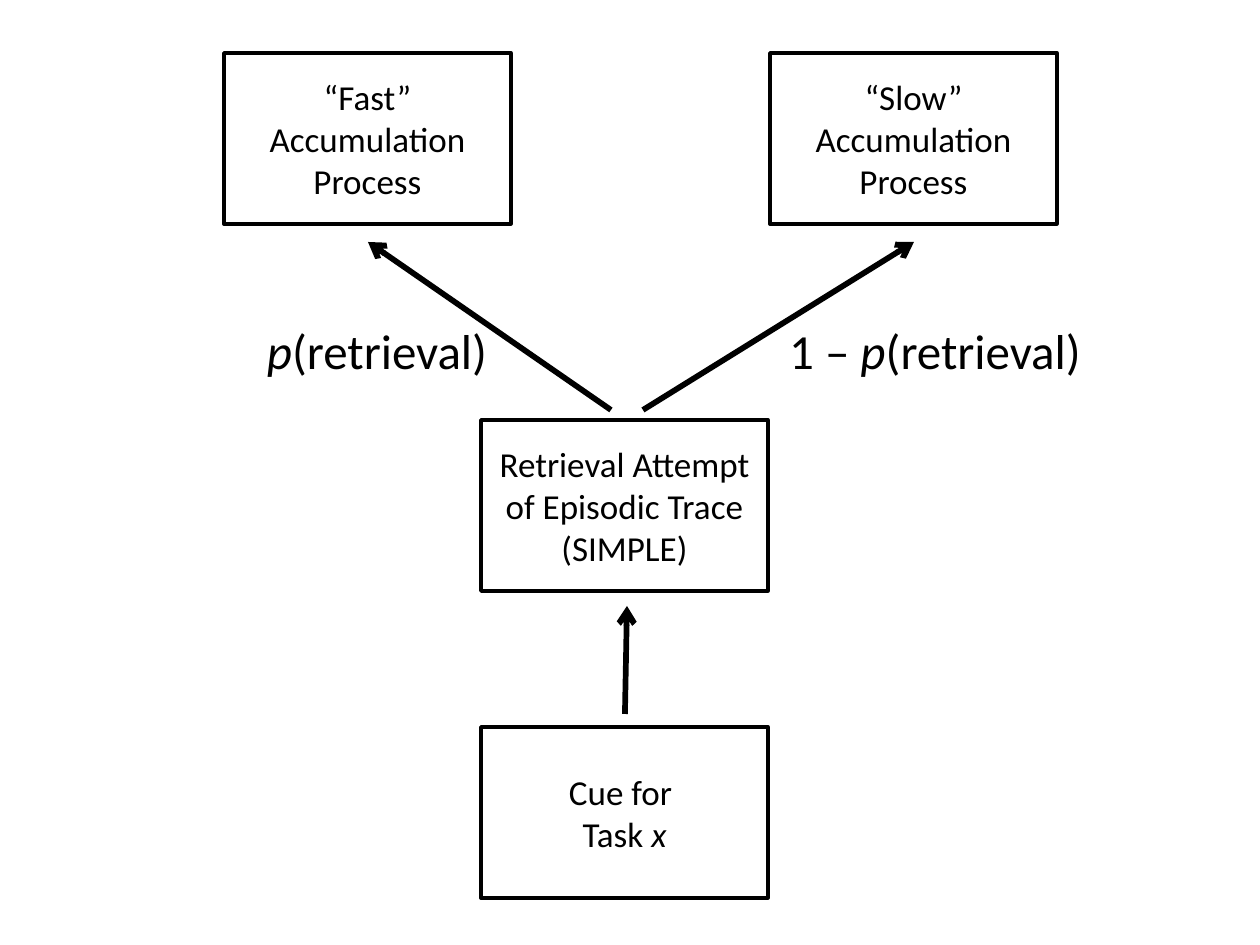
from dataclasses import dataclass

from lxml.etree import SubElement
from pptx import Presentation
from pptx.dml.color import RGBColor
from pptx.enum.shapes import MSO_CONNECTOR, MSO_SHAPE
from pptx.enum.text import MSO_ANCHOR, PP_ALIGN
from pptx.oxml.ns import qn
from pptx.util import Emu, Inches, Pt

PX = 914400 // 126
BOX_W, BOX_H = 287, 171
LABEL_Y, LABEL_H = 314, 72
INK, PAPER = "000000", "FFFFFF"
FONT = "Calibri"

Run = tuple[str, bool]


@dataclass(frozen=True)
class Box:
    """A process box; each paragraph is a list of (text, italic) runs."""
    x: int
    y: int
    paragraphs: list[list[Run]]


@dataclass(frozen=True)
class Label:
    """A probability written beside an arrow."""
    x: int
    w: int
    runs: list[Run]


@dataclass(frozen=True)
class Arrow:
    """An arrow from (x1, y1) to its head at (x2, y2)."""
    x1: int
    y1: int
    x2: int
    y2: int


BOXES = [
    Box(224, 53, [[("“Fast” Accumulation Process", False)]]),
    Box(770, 53, [[("“Slow” Accumulation Process", False)]]),
    Box(481, 420, [[("Retrieval Attempt of Episodic Trace (SIMPLE)", False)]]),
    Box(481, 727, [[("Cue for ", False)], [("Task ", False), ("x", True)]]),
]
ARROWS = [
    Arrow(625, 714, 627, 606),
    Arrow(611, 410, 368, 242),
    Arrow(643, 410, 914, 242),
]
LABELS = [
    Label(253, 248, [("p", True), ("(retrieval)", False)]),
    Label(771, 328, [("1 –", False), (" p", True), ("(retrieval)", False)]),
]


def px(*values: int) -> list[Emu]:
    """Turn pixels into EMU."""
    return [Emu(v * PX) for v in values]


def color(value: str) -> RGBColor:
    """Turn a hex string into a colour."""
    return RGBColor.from_string(value)


def write(tf, paragraphs: list[list[Run]], size: int) -> None:
    """Fill a text frame with centred paragraphs, run by run."""
    tf.word_wrap = True
    for i, runs in enumerate(paragraphs):
        p = tf.add_paragraph() if i else tf.paragraphs[0]
        p.alignment = PP_ALIGN.CENTER
        for text, italic in runs:
            r = p.add_run()
            r.text = text
            r.font.name, r.font.size, r.font.italic = FONT, Pt(size), italic
            r.font.color.rgb = color(INK)


def add_box(s, box: Box) -> None:
    """Draw an outlined box with its text in the middle."""
    sp = s.shapes.add_shape(MSO_SHAPE.RECTANGLE, *px(box.x, box.y, BOX_W, BOX_H))
    sp.shadow.inherit = False
    sp.fill.background()
    sp.line.color.rgb = color(INK)
    sp.line.width = Pt(2)
    sp.text_frame.vertical_anchor = MSO_ANCHOR.MIDDLE
    write(sp.text_frame, box.paragraphs, 20)


def add_arrow(s, arrow: Arrow) -> None:
    """Draw a straight line with an open arrowhead at its end."""
    line = s.shapes.add_connector(
        MSO_CONNECTOR.STRAIGHT, *px(arrow.x1, arrow.y1, arrow.x2, arrow.y2))
    line.line.color.rgb = color(INK)
    line.line.width = Pt(3.25)
    SubElement(line.line._get_or_add_ln(), qn("a:tailEnd"), type="arrow")
    SubElement(line._element.spPr, qn("a:effectLst"))


def add_label(s, label: Label) -> None:
    """Write a probability label."""
    sp = s.shapes.add_textbox(*px(label.x, LABEL_Y, label.w, LABEL_H))
    write(sp.text_frame, [label.runs], 28)


def main() -> None:
    """Build the slide and save it."""
    prs = Presentation()
    prs.slide_width, prs.slide_height = Inches(10), Inches(7.5)
    s = prs.slides.add_slide(prs.slide_layouts[6])
    s.background.fill.solid()
    s.background.fill.fore_color.rgb = color(PAPER)
    for box in BOXES:
        add_box(s, box)
    for arrow in ARROWS:
        add_arrow(s, arrow)
    for label in LABELS:
        add_label(s, label)
    prs.save("out.pptx")


main()
